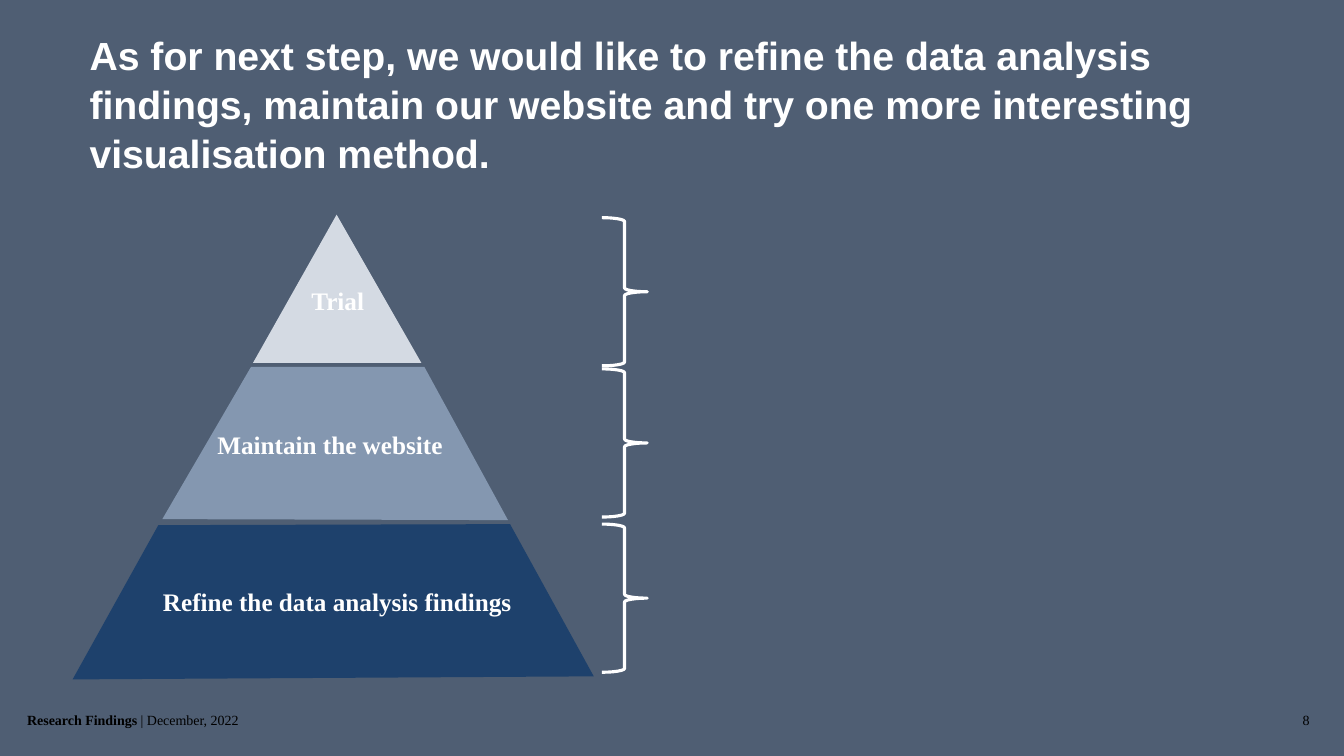
from dataclasses import dataclass

from pptx import Presentation
from pptx.dml.color import RGBColor
from pptx.enum.shapes import MSO_SHAPE
from pptx.enum.text import PP_ALIGN
from pptx.util import Inches, Pt

WIDE, HIGH = Inches(13.333), Inches(7.5)
LEFT, MID, RIGHT = PP_ALIGN.LEFT, PP_ALIGN.CENTER, PP_ALIGN.RIGHT
BRACE = MSO_SHAPE.RIGHT_BRACE
SANS, SERIF = "Arial", "Times New Roman"
WHITE, BLACK, SLATE = "FFFFFF", "000000", "4F5E73"

TITLE = {"name": SANS, "size": Pt(28), "bold": True}
LABEL = {"name": SERIF, "size": Pt(18), "bold": True}
FOOT = {"name": SERIF, "size": Pt(10), "bold": False}
STRONG = FOOT | {"bold": True}


@dataclass
class Text:
    """A text box; the box is in percent of the slide's size."""
    box: tuple[float, float, float, float]
    runs: list[tuple[str, dict]]
    tint: str = WHITE
    align: PP_ALIGN = MID
    lead: float = 1.0


@dataclass
class Tier:
    """A pyramid layer, its brace top and label, in percent of the slide."""
    fill: str
    edge: list[tuple[float, float]]
    top: float
    label: Text


TIERS = [
    Tier("D4DAE3", [(18.83, 48), (25.05, 28.4), (31.35, 48)], 28.8,
         Text((6.08, 37.07, 38.1, 5.33), [("Trial", LABEL)])),
    Tier("8497B0", [(12.08, 68.67), (18.68, 48.53), (31.58, 48.53), (37.8, 68.8)], 48.8,
         Text((-0.23, 56.13, 50.03, 5.33), [("Maintain the website ", LABEL)])),
    Tier("1E416C", [(5.4, 89.87), (11.78, 69.47), (37.95, 69.33), (44.18, 89.47)], 69.33,
         Text((0.08, 76.93, 50.03, 5.33), [("Refine the data analysis findings", LABEL)])),
]
TEXTS = [
    Text((5.93, 3.2, 89.1, 20.13),
         [("As for next step, we would like to refine the data analysis findings, "
           "maintain our website and try one more interesting visualisation method.", TITLE)],
         align=LEFT, lead=1.04),
    Text((1.28, 93.47, 33.3, 3.6),
         [("Research Findings", STRONG), (" | December, 2022", FOOT)], BLACK, LEFT),
    Text((64.88, 93.47, 33.3, 3.6), [("8", FOOT)], BLACK, RIGHT),
]


def hue(code: str) -> RGBColor:
    return RGBColor.from_string(code)


def spot(x: float, y: float) -> tuple[int, int]:
    """Turn percent of the slide into lengths."""
    return round(WIDE * x / 100), round(HIGH * y / 100)


def write(slide, text: Text) -> None:
    x, y, w, h = text.box
    frame = slide.shapes.add_textbox(*spot(x, y), *spot(w, h)).text_frame
    frame.word_wrap = True
    para = frame.paragraphs[0]
    para.alignment = text.align
    para.line_spacing = text.lead
    for words, form in text.runs:
        run = para.add_run()
        run.text = words
        for key, value in form.items():
            setattr(run.font, key, value)
        run.font.color.rgb = hue(text.tint)


def layer(slide, tier: Tier) -> None:
    first, *rest = [spot(*point) for point in tier.edge]
    draft = slide.shapes.build_freeform(*first)
    draft.add_line_segments(rest, close=True)
    shape = draft.convert_to_shape()
    shape.shadow.inherit = False
    shape.fill.solid()
    shape.fill.fore_color.rgb = hue(tier.fill)
    shape.line.fill.background()


def brace(slide, top: float) -> None:
    shape = slide.shapes.add_shape(BRACE, *spot(44.78, top), *spot(3.38, 19.6))
    shape.shadow.inherit = False
    shape.fill.background()
    shape.line.color.rgb = hue(WHITE)
    shape.line.width = Pt(2.25)


def main() -> None:
    deck = Presentation()
    deck.slide_width, deck.slide_height = WIDE, HIGH
    slide = deck.slides.add_slide(deck.slide_layouts[6])
    slide.background.fill.solid()
    slide.background.fill.fore_color.rgb = hue(SLATE)
    for text in TEXTS:
        write(slide, text)
    for tier in TIERS:
        layer(slide, tier)
        brace(slide, tier.top)
        write(slide, tier.label)
    deck.save("out.pptx")


if __name__ == "__main__":
    main()
